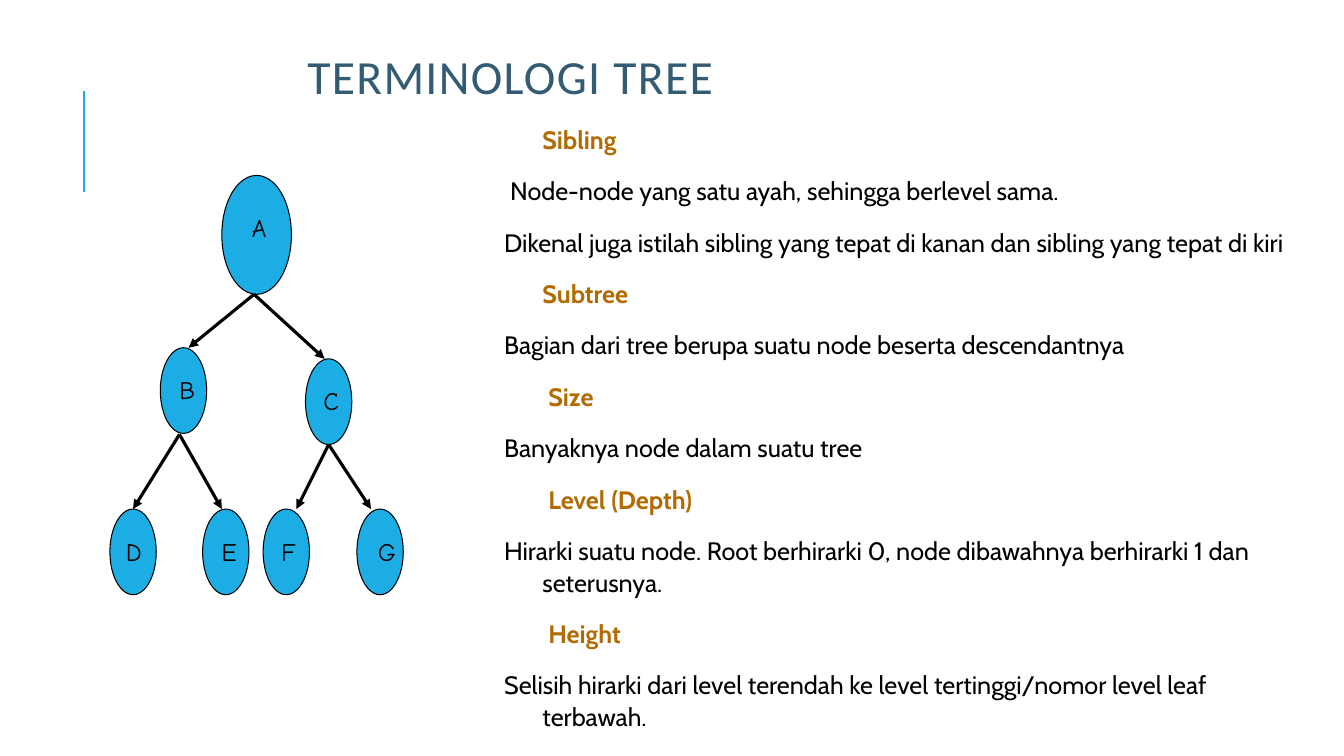
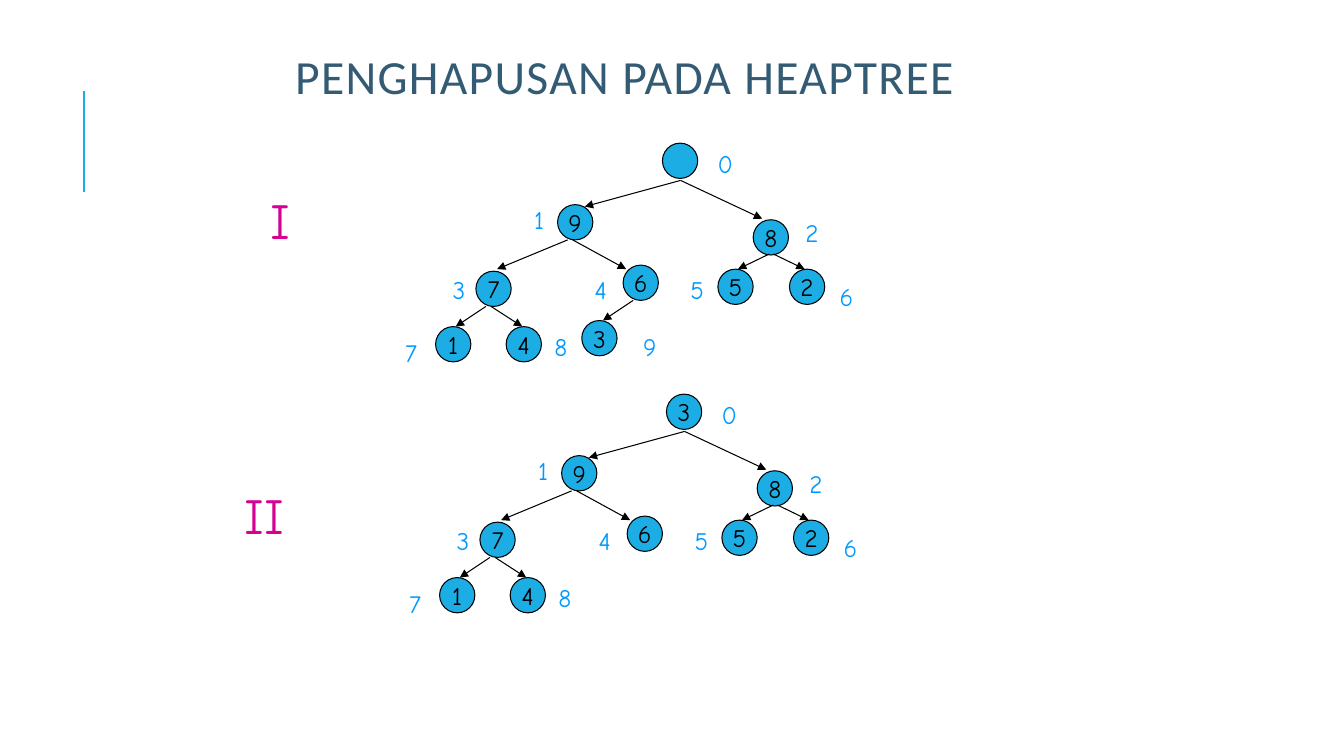
from lxml import etree
from pptx import Presentation
from pptx.dml.color import RGBColor
from pptx.enum.shapes import MSO_CONNECTOR, MSO_SHAPE
from pptx.enum.text import MSO_ANCHOR, PP_ALIGN
from pptx.oxml.ns import qn
from pptx.util import Inches, Pt

LINE = MSO_CONNECTOR.STRAIGHT
OVAL = MSO_SHAPE.OVAL
TOP, MIDDLE, BOTTOM = MSO_ANCHOR.TOP, MSO_ANCHOR.MIDDLE, MSO_ANCHOR.BOTTOM
LEFT, CENTER = PP_ALIGN.LEFT, PP_ALIGN.CENTER

SKY = RGBColor(0x1C, 0xAD, 0xE4)
NAVY = RGBColor(0x33, 0x5B, 0x74)
BROWN = RGBColor(0xB2, 0x6B, 0x02)
AZURE = RGBColor(0x00, 0x99, 0xFF)
PINK = RGBColor(0xD6, 0x00, 0x93)
BLACK = RGBColor(0, 0, 0)

HEAD, BODY, HAND = "Calibri", "Cabin", "Comic Neue"
HANG = 0.38
NUDGE = 0.06

TERMS = [
    ("Sibling", True, 0),
    ("Node-node yang satu ayah, sehingga berlevel sama.", False, NUDGE),
    ("Dikenal juga istilah sibling yang tepat di kanan dan sibling yang tepat di kiri", False, 0),
    ("Subtree", True, 0),
    ("Bagian dari tree berupa suatu node beserta descendantnya", False, 0),
    ("Size", True, NUDGE),
    ("Banyaknya node dalam suatu tree", False, 0),
    ("Level (Depth)", True, NUDGE),
    ("Hirarki suatu node. Root berhirarki 0, node dibawahnya berhirarki 1 dan seterusnya.", False, 0),
    ("Height", True, NUDGE),
    ("Selisih hirarki dari level terendah ke level tertinggi/nomor level leaf terbawah.", False, 0),
]

# Each slot holds the node corner, the label corner and the ends of its arrow.
FAMILY = [
    ((1.11, 0), (1.31, 0.32), None),
    ((0.5, 1.71), (0.59, 1.92), (1.43, 1.18, 0.78, 1.71)),
    ((1.94, 1.82), (2.02, 2.03), (1.43, 1.18, 2.13, 1.82)),
    ((0, 3.31), (0.06, 3.53), (0.69, 2.57, 0.23, 3.31)),
    ((0.92, 3.31), (1.01, 3.53), (0.69, 2.57, 1.11, 3.31)),
    ((1.52, 3.31), (1.6, 3.53), (2.17, 2.67, 1.85, 3.31)),
    ((2.45, 3.31), (2.56, 3.53), (2.17, 2.67, 2.59, 3.31)),
]
HEAP = [
    ((2.65, 0), (3.1, 0), None),
    ((1.61, 0.61), (1.28, 0.56), (2.83, 0.37, 1.88, 0.63)),
    ((3.55, 0.76), (3.97, 0.69), (2.83, 0.37, 3.64, 0.75)),
    ((0.8, 1.27), (0.47, 1.25), (1.71, 0.96, 1.01, 1.25)),
    ((2.26, 1.21), (1.88, 1.25), (1.76, 0.96, 2.29, 1.25)),
    ((3.2, 1.25), (2.83, 1.25), (3.71, 1.1, 3.4, 1.25)),
    ((3.91, 1.25), (4.31, 1.32), (3.75, 1.1, 4.06, 1.25)),
    ((0.4, 1.82), (0, 1.88), (0.9, 1.62, 0.6, 1.82)),
    ((1.1, 1.82), (1.48, 1.82), (0.95, 1.62, 1.26, 1.82)),
    ((1.85, 1.76), (2.36, 1.82), (2.36, 1.56, 2.06, 1.76)),
]


def write(para, text, size=18, font=HAND, color=BLACK, bold=False,
          align=LEFT, lead=None, track=0):
    para.alignment = align
    if lead:
        para.line_spacing = lead
    run = para.add_run()
    run.text = text
    run.font.size = Pt(size)
    run.font.name = font
    run.font.bold = bold
    run.font.color.rgb = color
    if track:
        run._r.get_or_add_rPr().set("spc", str(track * 100))


def frame(slide, x, y, w, h, anchor=TOP):
    box = slide.shapes.add_textbox(Inches(x), Inches(y), Inches(w), Inches(h)).text_frame
    box.word_wrap = True
    box.vertical_anchor = anchor
    return box


def label(slide, x, y, w, h, text, anchor=TOP, **style):
    write(frame(slide, x, y, w, h, anchor).paragraphs[0], text, **style)


def stroke(slide, x1, y1, x2, y2, color, weight, arrow=True):
    line = slide.shapes.add_connector(LINE, Inches(x1), Inches(y1), Inches(x2), Inches(y2))
    line.line.color.rgb = color
    line.line.width = Pt(weight)
    if arrow:
        etree.SubElement(line.line._get_or_add_ln(), qn("a:tailEnd"), type="triangle")
    etree.SubElement(line._element.spPr, qn("a:effectLst"))


def node(slide, x, y, w, h, text):
    oval = slide.shapes.add_shape(OVAL, Inches(x), Inches(y), Inches(w), Inches(h))
    oval.shadow.inherit = False
    oval.fill.solid()
    oval.fill.fore_color.rgb = SKY
    oval.line.color.rgb = BLACK
    oval.line.width = Pt(0.75)
    if text:
        box = oval.text_frame
        box.word_wrap = False
        box.vertical_anchor = MIDDLE
        write(box.paragraphs[0], text, align=CENTER)


def tree(slide, x, y, slots, inner, outer, size, root, weight, width, color):
    for i, (slot, text, mark) in enumerate(zip(slots, inner, outer)):
        (nx, ny), (lx, ly), edge = slot
        node(slide, x + nx, y + ny, *(size if i else root), text)
        if edge:
            x1, y1, x2, y2 = edge
            stroke(slide, x + x1, y + y1, x + x2, y + y2, BLACK, weight)
        label(slide, x + lx, y + ly, width, 0.4, mark, color=color)


def family(slide, x, y):
    tree(slide, x, y, FAMILY, [""] * 7, "ABCDEFG", (0.46, 0.85), (0.69, 1.18),
         2.25, 0.3, BLACK)


def heap(slide, x, y, values):
    tree(slide, x, y, HEAP, values, "0123456789", (0.35, 0.35), (0.35, 0.35),
         0.75, 0.27, AZURE)


def terms(slide, x, y, w, h):
    box = frame(slide, x, y, w, h)
    box.margin_left = box.margin_right = Inches(0.05)
    for i, (text, head, nudge) in enumerate(TERMS):
        para = box.add_paragraph() if i else box.paragraphs[0]
        props = para._p.get_or_add_pPr()
        props.set("marL", str(Inches(HANG)))
        props.set("indent", str(Inches(nudge if head else nudge - HANG)))
        para.space_before = Pt(12 if i else 0)
        para.space_after = Pt(2)
        write(para, text, font=BODY, color=BROWN if head else BLACK, bold=head, lead=1.05)


def page(deck, title, x, w):
    slide = deck.slides.add_slide(deck.slide_layouts[6])
    stroke(slide, 0.83, 1.9, 0.83, 0.9, SKY, 1.5, arrow=False)
    label(slide, x, 0.25, w, 0.83, title, anchor=BOTTOM, size=34, font=HEAD,
          color=NAVY, lead=0.8, track=1)
    return slide


def main():
    deck = Presentation()
    deck.slide_width = Inches(13.33)
    deck.slide_height = Inches(7.5)

    slide = page(deck, "TERMINOLOGI TREE", 2.95, 4.5)
    terms(slide, 4.95, 1.17, 7.87, 4.9)
    family(slide, 1.09, 1.74)

    slide = page(deck, "PENGHAPUSAN PADA HEAPTREE", 2.83, 7.33)
    heap(slide, 3.92, 1.42, ["", *"987652143"])
    heap(slide, 3.96, 3.91, "398765214")
    for text, x, y in (("I", 2.58, 1.83), ("II", 2.33, 4.75)):
        label(slide, x, y, 1.5, 0.7, text, size=36, color=PINK)

    deck.save("out.pptx")


if __name__ == "__main__":
    main()
